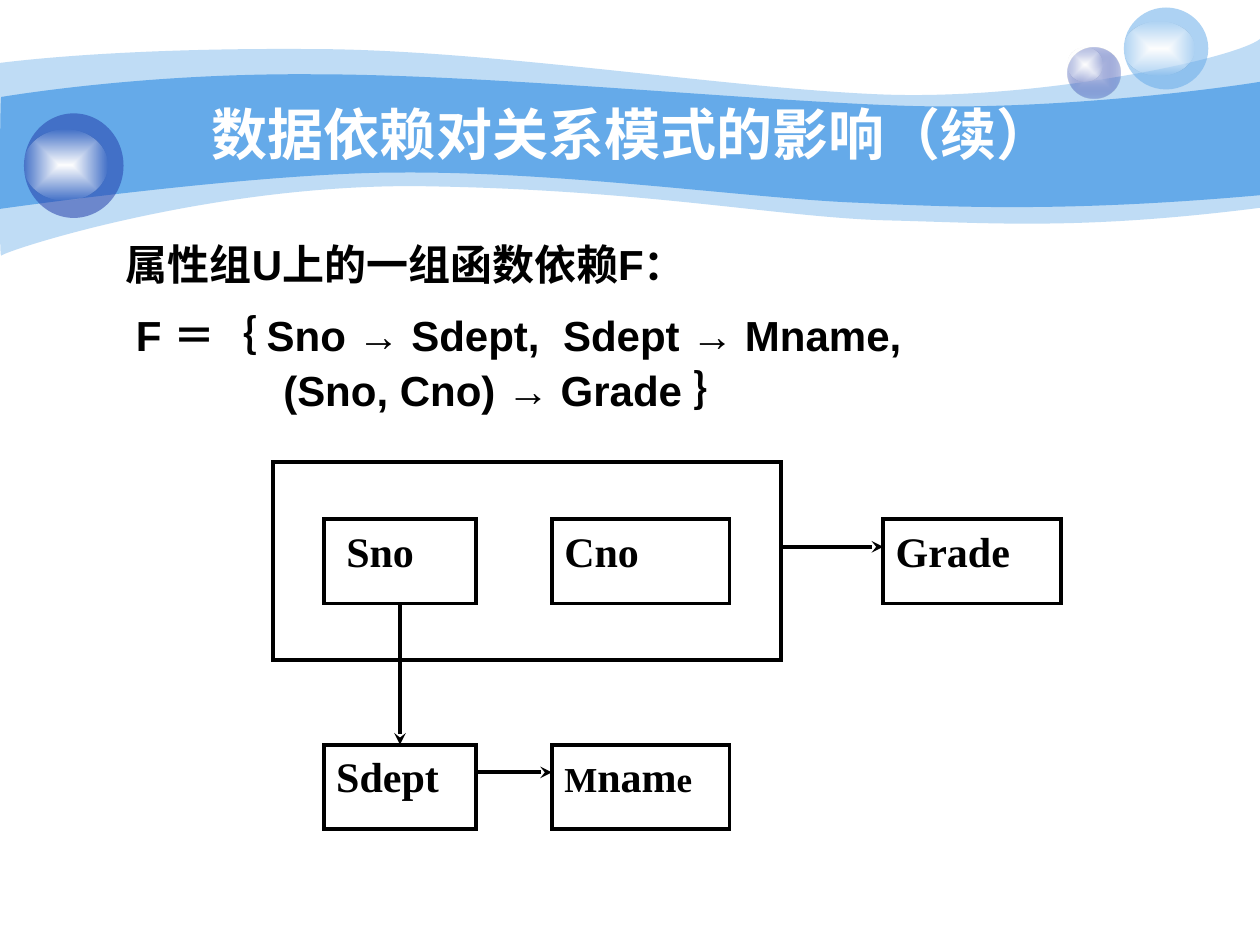
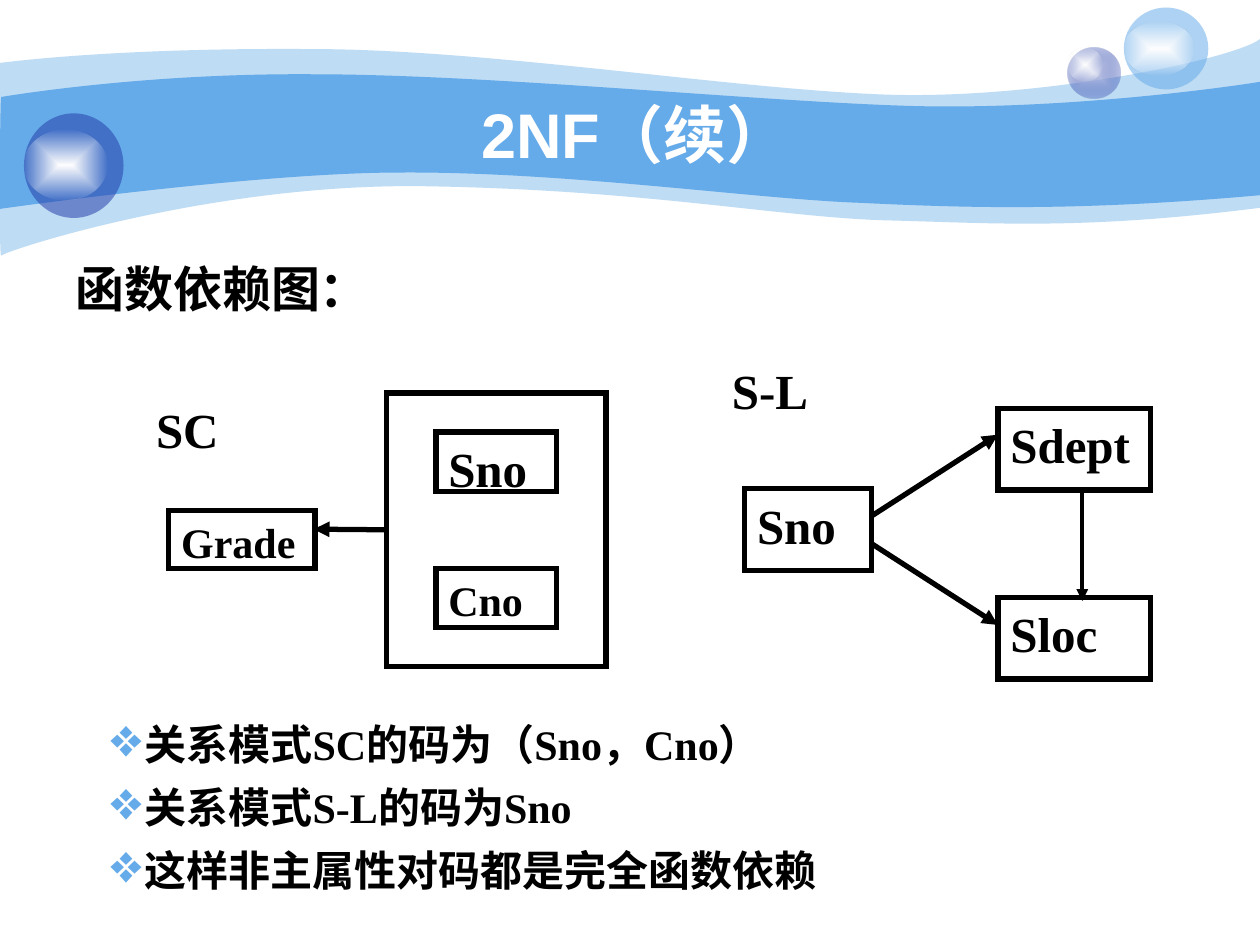
from dataclasses import dataclass
from typing import Optional

from lxml import etree
from pptx import Presentation
from pptx.dml.color import RGBColor
from pptx.enum.shapes import MSO_CONNECTOR, MSO_SHAPE
from pptx.enum.text import MSO_ANCHOR, PP_ALIGN
from pptx.oxml import parse_xml
from pptx.oxml.ns import nsdecls, qn
from pptx.util import Pt

PX = 9144  # EMU in one px, 100 px to the inch
WIDE_SPACE = "667"  # extra width of a lone space, in hundredths of a point

OVAL, RECT, STRAIGHT = MSO_SHAPE.OVAL, MSO_SHAPE.RECTANGLE, MSO_CONNECTOR.STRAIGHT
LEFT, CENTER = PP_ALIGN.LEFT, PP_ALIGN.CENTER
TOP, MIDDLE = MSO_ANCHOR.TOP, MSO_ANCHOR.MIDDLE
TOP_SIDE, LEFT_SIDE, BOTTOM_SIDE = 0, 1, 2

WHITE = RGBColor(0xFF, 0xFF, 0xFF)
BLACK = RGBColor(0x00, 0x00, 0x00)
SKY = RGBColor(0x65, 0xAA, 0xE9)
NAVY = RGBColor(0x23, 0x3D, 0xA9)
LILAC = RGBColor(0xC7, 0xCE, 0xE9)

SANS, SERIF = "Arial", "Times New Roman"

Area = tuple[int, int, int, int]  # left, top, width, height
Point = tuple[int, int]


@dataclass(frozen=True)
class Paint:
    color: RGBColor
    alpha: int = 100
    center: Optional[RGBColor] = None  # set for a gradient that starts in the middle


@dataclass(frozen=True)
class Wave:
    """Each step holds one point for a line or three for a curve."""
    start: Point
    steps: list[tuple[Point, ...]]
    paint: Paint


@dataclass(frozen=True)
class Bubble:
    area: Area
    paint: Paint


@dataclass(frozen=True)
class Line:
    """One paragraph; its spans are pairs of text and size."""
    spans: list[tuple[str, int]]
    indent: int = 0
    before: int = 0
    spacing: float = 1.0
    bullet: str = ""
    hang: int = 0


@dataclass(frozen=True)
class Node:
    key: str
    area: Area
    size: int = 24
    spans: Optional[list[tuple[str, int]]] = None
    indent: int = 0
    framed: bool = True


@dataclass(frozen=True)
class Arrow:
    start: Point
    end: Point
    weight: float
    head: str
    start_join: Optional[tuple[str, int]] = None
    end_join: Optional[tuple[str, int]] = None


# Shared page decoration
GLOW = Paint(WHITE, 0, WHITE)
WAVES = [
    Wave((0, 50), [
        ((24, 47), (107, 38), (247, 39)), ((386, 39), (575, 70), (699, 75)),
        ((822, 80), (980, 47), (1000, 31)), ((1000, 165),),
        ((858, 183), (787, 177), (705, 175)), ((622, 173), (515, 151), (343, 148)),
        ((172, 144), (4, 199), (1, 203)), ((-1, 208), (0, 75), (0, 50)),
    ], Paint(SKY, 41)),
    Wave((1, 77), [
        ((2, 77), (110, 58), (248, 59)), ((386, 59), (595, 80), (718, 84)),
        ((841, 88), (976, 69), (1000, 65)), ((1000, 155),),
        ((853, 168), (765, 165), (682, 161)), ((599, 158), (447, 136), (317, 137)),
        ((203, 137), (-2, 166), (-1, 166)), ((0, 166), (0, 77), (1, 77)),
    ], Paint(SKY)),
]
BUBBLES = [
    Bubble((847, 38, 42, 40), Paint(NAVY, 31, LILAC)),
    Bubble((847, 38, 28, 27), GLOW),
    Bubble((892, 6, 67, 65), Paint(SKY, 53)),
    Bubble((892, 17, 56, 43), GLOW),
    Bubble((19, 90, 79, 83), Paint(NAVY, 53)),
    Bubble((19, 103, 66, 56), GLOW),
]

# Slide 1 content
ATTRIBUTE_LINES = [
    Line([("属性组U上的一组函数依赖F：", 24)], indent=23),
    Line([("F ＝｛ Sno → Sdept,", 24), (" ", 24), ("Sdept → Mname,", 24)],
         indent=31, before=6, spacing=1.2),
    Line([("(Sno, Cno) → Grade ｝", 24)], indent=148, before=3),
]
ATTRIBUTE_NODES = [
    Node("key", (217, 367, 403, 157)),
    Node("Sno", (257, 412, 121, 67), indent=8),
    Node("Cno", (438, 412, 141, 67)),
    Node("Sdept", (257, 591, 121, 67)),
    Node("Mname", (438, 591, 141, 67), spans=[("M", 20), ("nam", 24), ("e", 20)]),
    Node("Grade", (701, 412, 141, 67)),
]
ATTRIBUTE_ARROWS = [
    Arrow((317, 479), (317, 591), 2.25, "stealth", ("Sno", BOTTOM_SIDE), ("Sdept", TOP_SIDE)),
    Arrow((378, 613), (438, 613), 2.25, "stealth"),
    Arrow((620, 434), (701, 434), 2.25, "stealth"),
]

# Slide 2 content
NORMAL_FORM_NODES = [
    Node("key", (307, 312, 174, 217)),
    Node("Sno", (346, 343, 96, 47), 28),
    Node("Cno", (346, 451, 96, 47)),
    Node("Grade", (134, 405, 116, 46)),
    Node("SC", (114, 312, 97, 46), 28, framed=False),
    Node("S-L", (571, 281, 121, 65), 28, framed=False),
    Node("Student", (591, 388, 101, 65), 28, spans=[("Sno", 28)]),
    Node("Sdept", (792, 324, 121, 65), 28),
    Node("Sloc", (792, 474, 121, 65), 28),
]
NORMAL_FORM_ARROWS = [
    Arrow((307, 420), (249, 420), 3, "triangle", start_join=("key", LEFT_SIDE)),
    Arrow((691, 410), (792, 345), 3, "triangle"),
    Arrow((691, 431), (792, 496), 3, "triangle"),
    Arrow((859, 391), (859, 477), 2.25, "triangle"),
]
CONCLUSIONS = [
    Line([(text, 24)], indent=30, spacing=1.25, bullet="❖", hang=27)
    for text in ("关系模式SC的码为（Sno，Cno）", "关系模式S-L的码为Sno", "这样非主属性对码都是完全函数依赖")
]


def emu(*lengths: int) -> list[int]:
    return [length * PX for length in lengths]


def paint_shape(shape, paint: Paint) -> None:
    shape.shadow.inherit = False
    shape.line.fill.background()
    if paint.center is not None:
        shape.fill.background()
        properties = shape.fill._xPr
        gradient = parse_xml(
            f'<a:gradFill {nsdecls("a")}><a:gsLst>'
            f'<a:gs pos="0"><a:srgbClr val="{paint.center}"/></a:gs>'
            f'<a:gs pos="100000"><a:srgbClr val="{paint.color}">'
            f'<a:alpha val="{paint.alpha * 1000}"/></a:srgbClr></a:gs></a:gsLst>'
            '<a:path path="rect"><a:fillToRect l="50000" t="50000" r="50000" b="50000"/>'
            '</a:path></a:gradFill>')
        properties.replace(properties.find(qn("a:noFill")), gradient)
        return
    shape.fill.solid()
    shape.fill.fore_color.rgb = paint.color
    if paint.alpha < 100:
        color = shape.fill._xPr.find(qn("a:solidFill")).find(qn("a:srgbClr"))
        etree.SubElement(color, qn("a:alpha"), val=str(paint.alpha * 1000))


def draw_wave(page, wave: Wave) -> None:
    """Outline the wave with straight segments, then join each three into a curve."""
    builder = page.shapes.build_freeform(*wave.start, scale=PX)
    builder.add_line_segments([point for step in wave.steps for point in step], close=True)
    shape = builder.convert_to_shape()
    segments = iter(list(shape._element.iter(qn("a:lnTo"))))
    for step in wave.steps:
        group = [next(segments) for _ in step]
        if len(group) == 3:
            curve = etree.Element(qn("a:cubicBezTo"))
            group[0].addprevious(curve)
            for segment in group:
                curve.append(segment[0])
                segment.getparent().remove(segment)
    paint_shape(shape, wave.paint)


def write_lines(box, lines: list[Line], font: str, color: RGBColor = BLACK,
                align: PP_ALIGN = LEFT, anchor: MSO_ANCHOR = TOP) -> None:
    frame = box.text_frame
    frame.word_wrap = True
    frame.vertical_anchor = anchor
    for index, line in enumerate(lines):
        para = frame.add_paragraph() if index else frame.paragraphs[0]
        para.alignment = align
        para.line_spacing = line.spacing
        if line.before:
            para.space_before = Pt(line.before)
        properties = para._p.get_or_add_pPr()
        if line.indent:
            properties.set("marL", str(line.indent * PX))
        if line.bullet:
            properties.set("indent", str(-line.hang * PX))
            bullet_color = etree.SubElement(properties, qn("a:buClr"))
            etree.SubElement(bullet_color, qn("a:srgbClr"), val=str(SKY))
            etree.SubElement(properties, qn("a:buSzPct"), val="130000")
            etree.SubElement(properties, qn("a:buChar"), char=line.bullet)
        para.font.name, para.font.bold = font, True
        para.font.color.rgb = color
        same_size = len({size for _, size in line.spans}) == 1
        if same_size:
            para.font.size = Pt(line.spans[0][1])
        for text, size in line.spans:
            span = para.add_run()
            span.text = text
            if not same_size:
                span.font.size = Pt(size)
            if text == " ":
                span.font._element.set("spc", WIDE_SPACE)


def add_text(page, area: Area, lines: list[Line], font: str, color: RGBColor = BLACK,
             align: PP_ALIGN = LEFT, anchor: MSO_ANCHOR = TOP) -> None:
    write_lines(page.shapes.add_textbox(*emu(*area)), lines, font, color, align, anchor)


def draw_node(page, node: Node, weight: float):
    if node.framed:
        box = page.shapes.add_shape(RECT, *emu(*node.area))
        box.shadow.inherit = False
        box.fill.background()
        box.line.color.rgb = BLACK
        box.line.width = Pt(weight)
        etree.SubElement(box.line._get_or_add_ln(), qn("a:miter"), lim="800000")
    else:
        box = page.shapes.add_textbox(*emu(*node.area))
    if node.key != "key":
        write_lines(box, [Line(node.spans or [(node.key, node.size)], node.indent)], SERIF)
    return box


def draw_arrow(page, arrow: Arrow, boxes: dict) -> None:
    connector = page.shapes.add_connector(STRAIGHT, *emu(*arrow.start, *arrow.end))
    if arrow.start_join:
        key, side = arrow.start_join
        connector.begin_connect(boxes[key], side)
    if arrow.end_join:
        key, side = arrow.end_join
        connector.end_connect(boxes[key], side)
    connector.line.color.rgb = BLACK
    connector.line.width = Pt(arrow.weight)
    etree.SubElement(connector.line._get_or_add_ln(), qn("a:tailEnd"), type=arrow.head)
    etree.SubElement(connector._element.spPr, qn("a:effectLst"))


def draw_diagram(page, nodes: list[Node], arrows: list[Arrow], weight: float) -> None:
    boxes = {node.key: draw_node(page, node, weight) for node in nodes}
    for arrow in arrows:
        draw_arrow(page, arrow, boxes)


def add_page(deck, title: str, size: int, title_area: Area):
    page = deck.slides.add_slide(deck.slide_layouts[6])
    for wave in WAVES:
        draw_wave(page, wave)
    for bubble in BUBBLES:
        paint_shape(page.shapes.add_shape(OVAL, *emu(*bubble.area)), bubble.paint)
    add_text(page, title_area, [Line([(title, size)])], SANS, WHITE, CENTER, MIDDLE)
    return page


def main() -> None:
    deck = Presentation()
    deck.slide_width, deck.slide_height = emu(1000, 750)

    # Slide 1: dependencies among the attributes
    page = add_page(deck, "数据依赖对关系模式的影响（续）", 32, (98, 75, 808, 62))
    add_text(page, (67, 184, 891, 499), ATTRIBUTE_LINES, SANS)
    draw_diagram(page, ATTRIBUTE_NODES, ATTRIBUTE_ARROWS, 2.25)

    # Slide 2: second normal form
    page = add_page(deck, "2NF（续）", 36, (100, 75, 808, 62))
    add_text(page, (50, 200, 900, 492), [Line([("函数依赖图：", 28)])], SANS)
    draw_diagram(page, NORMAL_FORM_NODES, NORMAL_FORM_ARROWS, 3)
    add_text(page, (75, 555, 683, 160), CONCLUSIONS, SERIF, anchor=MIDDLE)

    deck.save("out.pptx")


if __name__ == "__main__":
    main()
